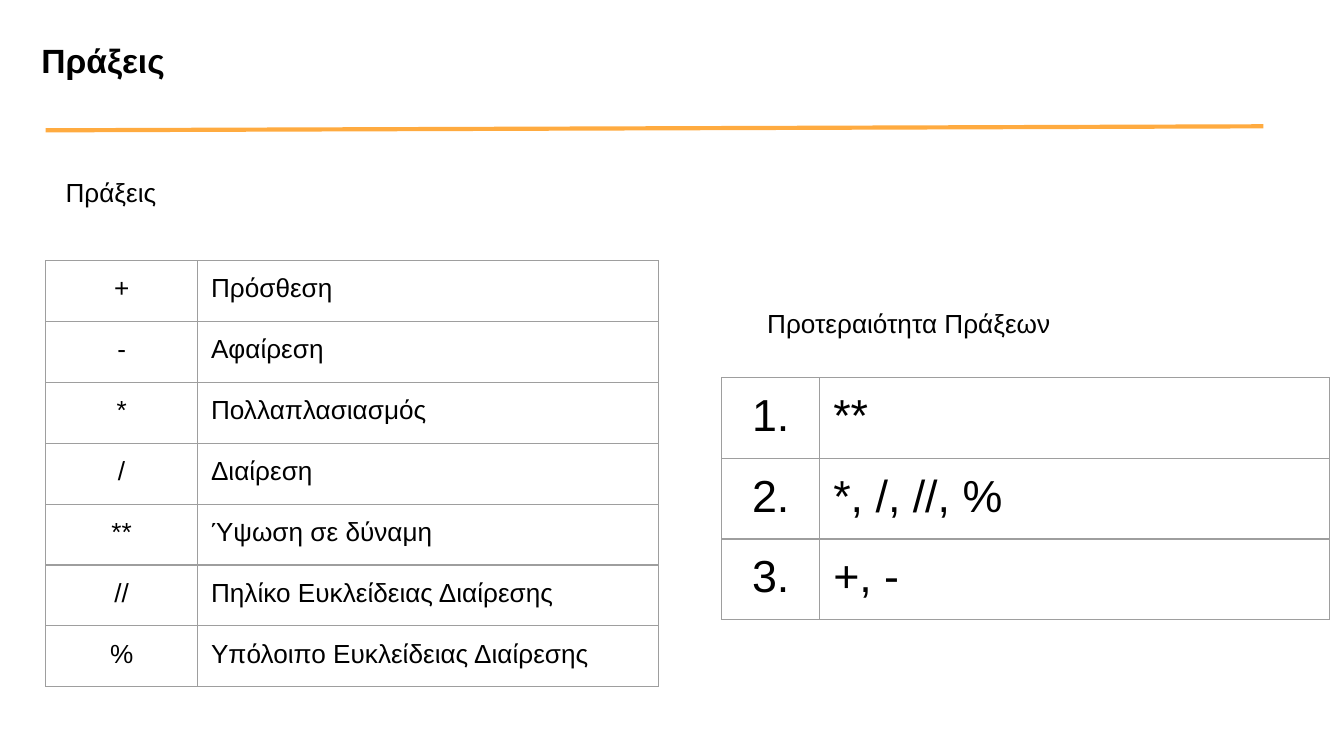
"""Build the slide of Python arithmetic operators and their precedence."""
from lxml.etree import SubElement
from pptx import Presentation
from pptx.dml.color import RGBColor
from pptx.enum.shapes import MSO_CONNECTOR as Connector
from pptx.enum.text import MSO_ANCHOR as Anchor, PP_ALIGN as Align
from pptx.oxml.ns import qn
from pptx.util import Inches, Pt

BLACK = RGBColor(0x00, 0x00, 0x00)
ORANGE = RGBColor(0xFF, 0xAB, 0x40)
GRAY = RGBColor(0x9E, 0x9E, 0x9E)
INSET = Inches(0.1)


def write(frame, text, size=14, bold=False, align=Align.LEFT):
    frame.word_wrap = True
    frame.margin_left = frame.margin_right = INSET
    frame.margin_top = frame.margin_bottom = INSET
    para = frame.paragraphs[0]
    para.alignment = align
    span = para.add_run()
    span.text = text
    span.font.name = "Arial"
    span.font.size = Pt(size)
    span.font.bold = bold
    span.font.color.rgb = BLACK
    return para


def add_grid(rows, left, top, widths, row_height, size):
    frame = page.shapes.add_table(
        len(rows), len(widths), Inches(left), Inches(top), Inches(3.28), Inches(3.28))
    table = frame.table
    table.first_row = table.horz_banding = False
    for column, width in zip(table.columns, widths):
        column.width = Inches(width)
    for row, texts in zip(table.rows, rows):
        row.height = Inches(row_height)
        for cell, text, align in zip(row.cells, texts, (Align.CENTER, Align.LEFT)):
            write(cell.text_frame, text, size=size, align=align)
            cell.margin_left = cell.margin_right = INSET
            cell.margin_top = cell.margin_bottom = INSET
            properties = cell._tc.get_or_add_tcPr()
            for side in ("lnL", "lnR", "lnT", "lnB"):
                border = SubElement(properties, qn(f"a:{side}"), w=str(Pt(0.75)))
                fill = SubElement(border, qn("a:solidFill"))
                SubElement(fill, qn("a:srgbClr"), val=str(GRAY))
            cell.fill.background()


deck = Presentation()
deck.slide_width = Inches(10)
deck.slide_height = Inches(10 * 9 / 16)
page = deck.slides.add_slide(deck.slide_layouts[6])

title = page.shapes.add_textbox(Inches(0.21), Inches(0.15), Inches(9.32), Inches(0.63))
title.text_frame.vertical_anchor = Anchor.TOP
heading = write(title.text_frame, "Πράξεις", size=18, bold=True, align=Align.JUSTIFY)
heading.line_spacing = 1.15

rule = page.shapes.add_connector(
    Connector.STRAIGHT, Inches(0.34), Inches(0.97), Inches(9.4), Inches(0.94))
rule.line.color.rgb = ORANGE
rule.line.width = Pt(2.25)
SubElement(rule._element.spPr, qn("a:effectLst"))

operators = [
    ("+", "Πρόσθεση"),
    ("-", "Αφαίρεση"),
    ("*", "Πολλαπλασιασμός"),
    ("/", "Διαίρεση"),
    ("**", "Ύψωση σε δύναμη"),
    ("//", "Πηλίκο Ευκλείδειας Διαίρεσης"),
    ("%", "Υπόλοιπο Ευκλείδειας Διαίρεσης"),
]
add_grid(operators, left=0.34, top=1.94, widths=(1.13, 3.43),
         row_height=3.17 / len(operators), size=14)

precedence = [("1.", "**"), ("2.", "*, /, //, %"), ("3.", "+, -")]
add_grid(precedence, left=5.37, top=2.81, widths=(0.73, 3.79), row_height=0.42, size=24)

for text, left, top, height in (
    ("Πράξεις", 0.39, 1.21, 0.5),
    ("Προτεραιότητα Πράξεων", 5.61, 2.19, 0.63),
):
    box = page.shapes.add_textbox(Inches(left), Inches(top), Inches(4.03), Inches(height))
    write(box.text_frame, text)

deck.save("out.pptx")
